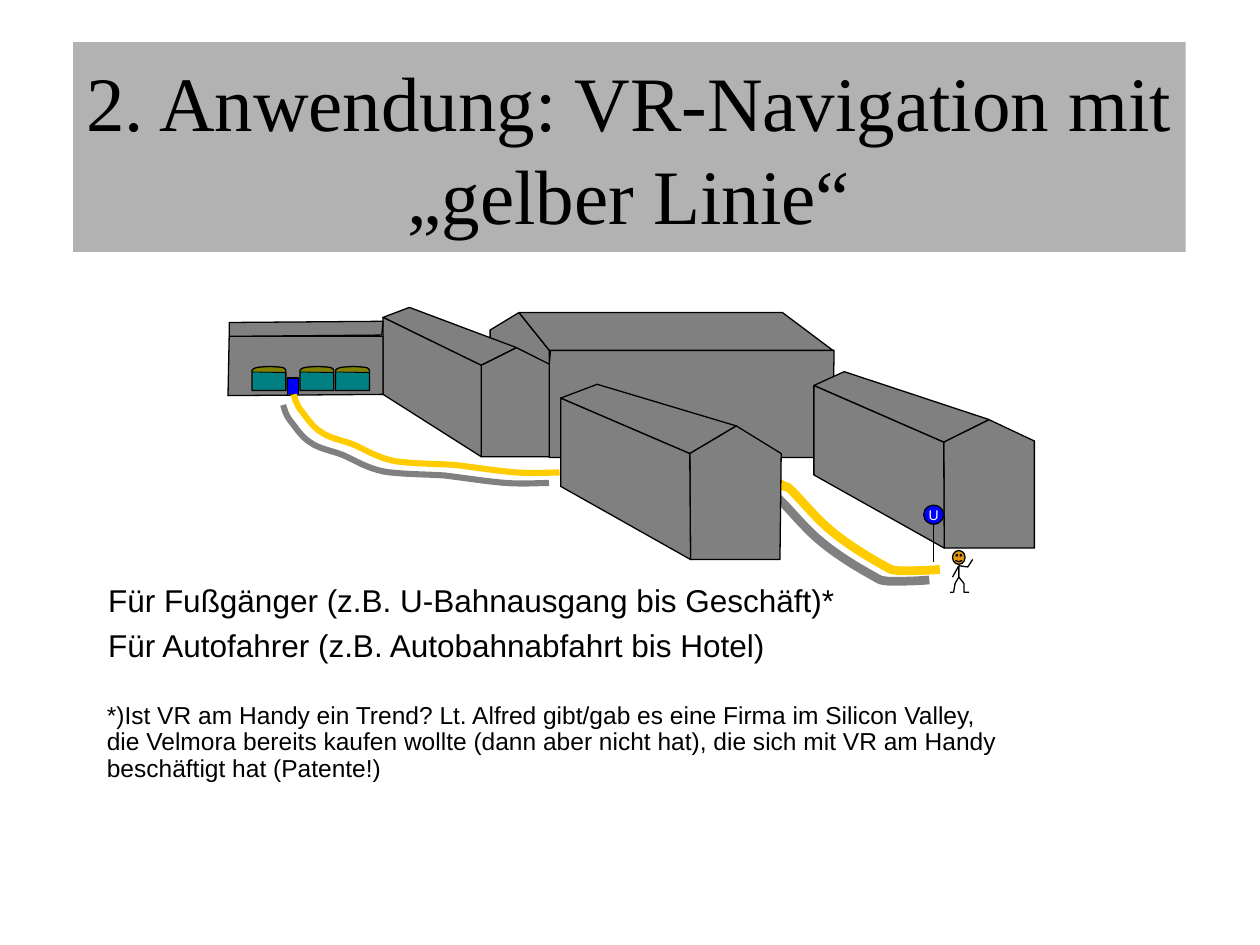
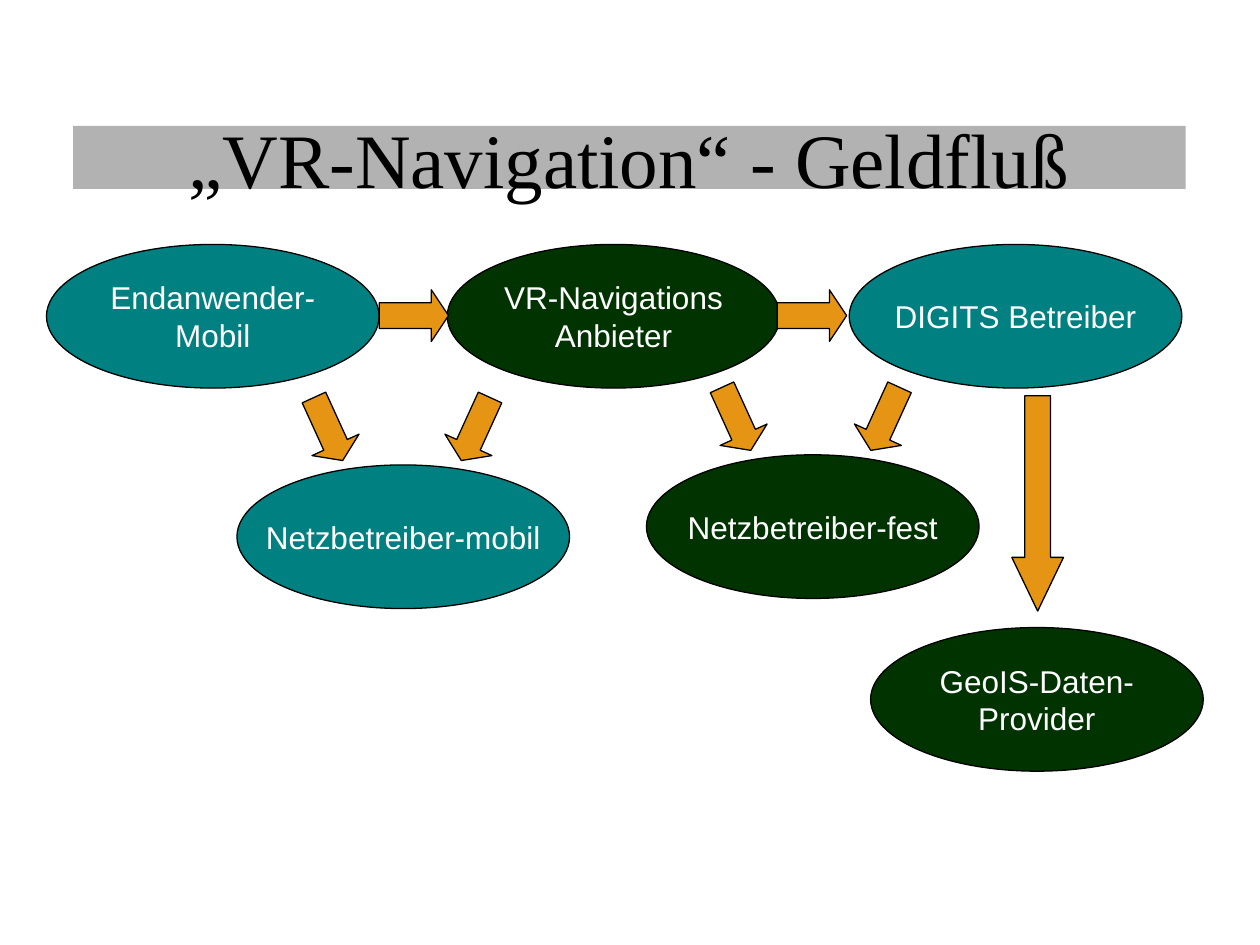
from dataclasses import dataclass

from lxml import etree
from pptx import Presentation
from pptx.dml.color import RGBColor
from pptx.enum.shapes import MSO_CONNECTOR, MSO_SHAPE
from pptx.enum.text import MSO_ANCHOR, PP_ALIGN
from pptx.oxml.ns import qn
from pptx.util import Pt

RECTANGLE = MSO_SHAPE.RECTANGLE
OVAL = MSO_SHAPE.OVAL
RIGHT_ARROW = MSO_SHAPE.RIGHT_ARROW
SMILEY = MSO_SHAPE.SMILEY_FACE
STRAIGHT = MSO_CONNECTOR.STRAIGHT
MIDDLE = MSO_ANCHOR.MIDDLE
TOP = MSO_ANCHOR.TOP
CENTER = PP_ALIGN.CENTER
LEFT = PP_ALIGN.LEFT

COLORS = {
    "black": "000000",
    "white": "FFFFFF",
    "title": "B2B2B2",
    "gray": "808080",
    "yellow": "FFCC00",
    "blue": "0000FF",
    "teal": "008080",
    "olive": "808000",
    "green": "003300",
    "orange": "E59513",
}
HAIRLINE = 0.75
CURVE_STEPS = 8
ACTOR_SIZE = (190.1, 82.1)
ARROW_THICKNESS = 29.5

Point = tuple[float, float]


@dataclass(frozen=True)
class House:
    eave: Point
    ridge: Point
    right_eave: Point
    right_ground: Point
    ground: Point
    back_ground: Point
    back_eave: Point
    back_ridge: Point

    def panels(self) -> list[list[Point]]:
        return [
            [self.eave, self.ridge, self.back_ridge, self.back_eave],
            [self.eave, self.ridge, self.right_eave, self.right_ground, self.ground],
            [self.back_eave, self.eave, self.ground, self.back_ground],
        ]


@dataclass(frozen=True)
class Route:
    width: float
    points: list[Point]


@dataclass(frozen=True)
class Actor:
    name: str
    left: float
    top: float
    color: str


@dataclass(frozen=True)
class MoneyArrow:
    left: float
    top: float
    angle: float = 0
    length: float = 39.6
    head: float = 0.333


@dataclass(frozen=True)
class Caption:
    text: str
    box: tuple[float, float, float, float]
    size: float = 18
    spacing: float = 1.0
    before: float = 0


HALL = [
    [(313.9, 261.4), (475.9, 261.4), (476.6, 200.2), (314.6, 200.2), (313.9, 208.1)],
    [(313.9, 208.8), (313.9, 200.2), (296.6, 178.6), (280.1, 188.6), (280.1, 195.1)],
    [(313.9, 200.2), (296.6, 178.6), (447.1, 178.6), (475.9, 200.2)],
]
HOUSES = [
    House((539.3, 252.7), (565.2, 239.8), (591.1, 252), (591.1, 313.2),
          (539.6, 313.2), (465.1, 271.4), (465.1, 220.3), (482.4, 212.4)),
    House((394.2, 259.2), (420.8, 243.4), (446.4, 259.2), (445.7, 319.7),
          (394.6, 319.7), (320.4, 277.9), (320.4, 227.5), (341.3, 219.6)),
    House((275, 208.8), (295.2, 198.7), (313.9, 208.1), (313.9, 261),
          (275, 261), (218.9, 225.4), (218.9, 181.4), (234, 175.7)),
]
SHOP = [
    [(218.9, 192.2), (131, 192.2), (130.3, 226.1), (218.9, 225.4)],
    [(218.2, 191.5), (218.9, 183.6), (131, 184.3), (131, 192.2)],
]
DOOR = [(164.2, 225.4), (164.2, 216), (170.6, 216), (170.6, 225.4)]
WINDOW = [(0, 212.4), (0, 223.2), (19.4, 223.2), (19.4, 212.8)]
AWNING = [
    (0, 212.4), (0, 211.7), (0, 211), (2.2, 210.2), (3.6, 209.8), (7.2, 209.5),
    (10.1, 209.5), (13, 209.5), (16.6, 209.8), (18, 210.2), (19.4, 211),
    (19.4, 211.7), (19.4, 212.4),
]
WINDOW_LEFTS = [144, 171.4, 191.8]
ROUTE_TO_HOUSE = Route(5, [
    (537.1, 325.4), (527.8, 326.2), (519.1, 326.2), (514.1, 326.2),
    (508.3, 325.4), (510.5, 326.2), (504, 322.6),
    (497.5, 319), (485.3, 311.8), (476.6, 304.6),
    (468, 298.1), (457.9, 285.8), (452.9, 280.8),
    (448.6, 276.5), (449.3, 278.6), (447.8, 277.9),
    (447.1, 277.2), (446.4, 276.5), (445.7, 276.5),
])
ROUTE_TO_SHOP = Route(3.5, [
    (319.7, 270), (315.4, 270), (304.6, 270.7), (295.2, 270),
    (285.1, 269.3), (271.4, 267.1), (259.9, 265.7),
    (248.4, 265), (234.7, 265), (225.4, 263.5),
    (215.3, 261.4), (208.8, 257), (202.3, 254.2),
    (195.1, 251.3), (188.6, 250.6), (183.6, 247),
    (178.6, 244.1), (175, 238.3), (172.1, 234.7),
    (169.2, 231.1), (168.5, 227.5), (167.8, 225.4),
])
NECK = (547.9, 323.3)
HIP = (547.9, 329.8)
LIMBS = [
    [NECK, HIP, (550.8, 333.4), (550.8, 338.4), (553.7, 338.4)],
    [NECK, HIP, (545.8, 333.4), (545, 338.4), (542.9, 338.4)],
    [NECK, (553, 324), (555.8, 319.7)],
]
CAPTIONS = [
    Caption("Für Fußgänger (z.B. U-Bahnausgang bis Geschäft)*", (54.7, 328.3, 450, 28.8)),
    Caption("Für Autofahrer (z.B. Autobahnabfahrt bis Hotel)", (54.7, 354.2, 450, 28.8)),
    Caption("*)Ist VR am Handy ein Trend? Lt. Alfred gibt/gab es eine Firma im Silicon Valley,\v"
            "die Velmora bereits kaufen wollte (dann aber nicht hat), die sich mit VR am Handy\v"
            "beschäftigt hat (Patente!)",
            (54, 398.2, 628.6, 69.8), size=14, spacing=0.9, before=3.5),
]
ACTORS = [
    Actor("VR-Navigations\nAnbieter", 255.6, 139.7, "green"),
    Actor("DIGITS Betreiber", 485.3, 139.7, "teal"),
    Actor("GeoIS-Daten-\nProvider", 497.5, 358.6, "green"),
    Actor("Netzbetreiber-fest", 369.4, 259.9, "green"),
    Actor("Endanwender-\nMobil", 26.6, 139.7, "teal"),
    Actor("Netzbetreiber-mobil", 135.4, 265.7, "teal"),
]
ARROWS = [
    MoneyArrow(444.2, 165.6),
    MoneyArrow(216.7, 165.6),
    MoneyArrow(531.4, 272.9, 90, 123.1, 1.04),
    MoneyArrow(401, 224.6, 65.5),
    MoneyArrow(486, 224.6, 114.5),
    MoneyArrow(167.8, 230.4, 65.5),
    MoneyArrow(252, 230.4, 114.5),
]


def rgb(name: str) -> RGBColor:
    return RGBColor.from_string(COLORS[name])


def paint(shape, fill: str | None, line: str | None = "black", width: float = HAIRLINE) -> None:
    shape.shadow.inherit = False
    if fill:
        shape.fill.solid()
        shape.fill.fore_color.rgb = rgb(fill)
    else:
        shape.fill.background()
    if line:
        shape.line.color.rgb = rgb(line)
        shape.line.width = Pt(width)
    else:
        shape.line.fill.background()


def write(shape, text: str, *, size: float, color: str = "black", font: str = "Arial",
          align=CENTER, anchor=MIDDLE, wrap: bool = False, inset: float = 3.6,
          spacing: float = 1.0, before: float = 0) -> None:
    frame = shape.text_frame
    frame.word_wrap = wrap
    frame.vertical_anchor = anchor
    frame.margin_left = frame.margin_right = Pt(7.2)
    frame.margin_top = frame.margin_bottom = Pt(inset)
    frame.text = text
    for paragraph in frame.paragraphs:
        paragraph.alignment = align
        paragraph.line_spacing = spacing
        paragraph.space_before = Pt(before)
        for run in paragraph.runs:
            run.font.size = Pt(size)
            run.font.name = font
            run.font.color.rgb = rgb(color)


def add_preset(slide, kind, left: float, top: float, width: float, height: float,
               fill: str, line: str | None = "black"):
    shape = slide.shapes.add_shape(kind, Pt(left), Pt(top), Pt(width), Pt(height))
    paint(shape, fill, line)
    return shape


def add_outline(slide, points: list[Point], fill: str | None = None, line: str = "black",
                width: float = HAIRLINE, close: bool = False):
    start, *rest = [(Pt(x), Pt(y)) for x, y in points]
    builder = slide.shapes.build_freeform(*start)
    builder.add_line_segments(rest, close=close)
    shape = builder.convert_to_shape()
    paint(shape, fill, line, width)
    return shape


def add_line(slide, start: Point, end: Point) -> None:
    connector = slide.shapes.add_connector(STRAIGHT, *map(Pt, start + end))
    connector.line.color.rgb = rgb("black")
    connector.line.width = Pt(HAIRLINE)
    etree.SubElement(connector._element.spPr, qn("a:effectLst"))


def smooth(points: list[Point]) -> list[Point]:
    curve = [points[0]]
    for index in range(0, len(points) - 1, 3):
        controls = points[index:index + 4]
        for step in range(1, CURVE_STEPS + 1):
            t = step / CURVE_STEPS
            weights = ((1 - t) ** 3, 3 * t * (1 - t) ** 2, 3 * t * t * (1 - t), t ** 3)
            curve.append((sum(w * x for w, (x, _) in zip(weights, controls)),
                          sum(w * y for w, (_, y) in zip(weights, controls))))
    return curve


def shift(points: list[Point], left: float) -> list[Point]:
    return [(left + x, y) for x, y in points]


def add_route(slide, route: Route) -> None:
    shape = add_outline(slide, smooth(route.points), line="yellow", width=route.width)
    effects = shape._element.spPr.find(qn("a:effectLst"))
    shadow = etree.SubElement(effects, qn("a:outerShdw"), dist=str(Pt(8.5)),
                              dir=str(135 * 60000), algn="ctr", rotWithShape="0")
    etree.SubElement(shadow, qn("a:srgbClr"), val=COLORS["gray"])


def add_title(slide, text: str, top: float, height: float) -> None:
    band = add_preset(slide, RECTANGLE, 41.76, top, 635.76, height, "title", None)
    write(band, text, size=44, font="Times New Roman", wrap=True, inset=0)


def add_caption(slide, caption: Caption) -> None:
    box = slide.shapes.add_textbox(*map(Pt, caption.box))
    write(box, caption.text, size=caption.size, align=LEFT, anchor=TOP, wrap=True,
          spacing=caption.spacing, before=caption.before)


def add_shop_front(slide) -> None:
    add_outline(slide, DOOR, "blue")
    for left in WINDOW_LEFTS:
        add_outline(slide, shift(WINDOW, left), "teal", close=True)
        add_outline(slide, shift(smooth(AWNING), left), "olive")


def add_station_sign(slide) -> None:
    add_line(slide, (533.5, 321.1), (533.5, 298.1))
    badge = add_preset(slide, OVAL, 527.8, 288.7, 11.5, 10.8, "blue")
    write(badge, "U", size=8, color="white")


def add_pedestrian(slide) -> None:
    add_preset(slide, SMILEY, 544.3, 314.6, 7.2, 7.9, "orange")
    for limb in LIMBS:
        add_outline(slide, limb)
    add_line(slide, NECK, (544.3, 329.8))


def build_navigation_slide(slide) -> None:
    add_route(slide, ROUTE_TO_HOUSE)
    house_panels = [panel for house in HOUSES for panel in house.panels()]
    for panel in HALL + house_panels + SHOP:
        add_outline(slide, panel, "gray", close=True)
    add_title(slide, "2. Anwendung: VR-Navigation mit „gelber Linie“", 24, 120)
    add_shop_front(slide)
    add_station_sign(slide)
    add_route(slide, ROUTE_TO_SHOP)
    add_pedestrian(slide)
    for caption in CAPTIONS:
        add_caption(slide, caption)


def build_money_flow_slide(slide) -> None:
    add_title(slide, "„VR-Navigation“ - Geldfluß", 72, 36)
    for actor in ACTORS:
        oval = add_preset(slide, OVAL, actor.left, actor.top, *ACTOR_SIZE, actor.color)
        write(oval, actor.name, size=18, color="white")
    for arrow in ARROWS:
        shape = add_preset(slide, RIGHT_ARROW, arrow.left, arrow.top,
                           arrow.length, ARROW_THICKNESS, "orange")
        shape.adjustments[0] = 0.5
        shape.adjustments[1] = arrow.head
        shape.rotation = arrow.angle


def main() -> None:
    presentation = Presentation()
    presentation.slide_width = Pt(720)
    presentation.slide_height = Pt(540)
    blank = presentation.slide_layouts[6]
    for build in (build_navigation_slide, build_money_flow_slide):
        build(presentation.slides.add_slide(blank))
    presentation.save("out.pptx")


if __name__ == "__main__":
    main()
